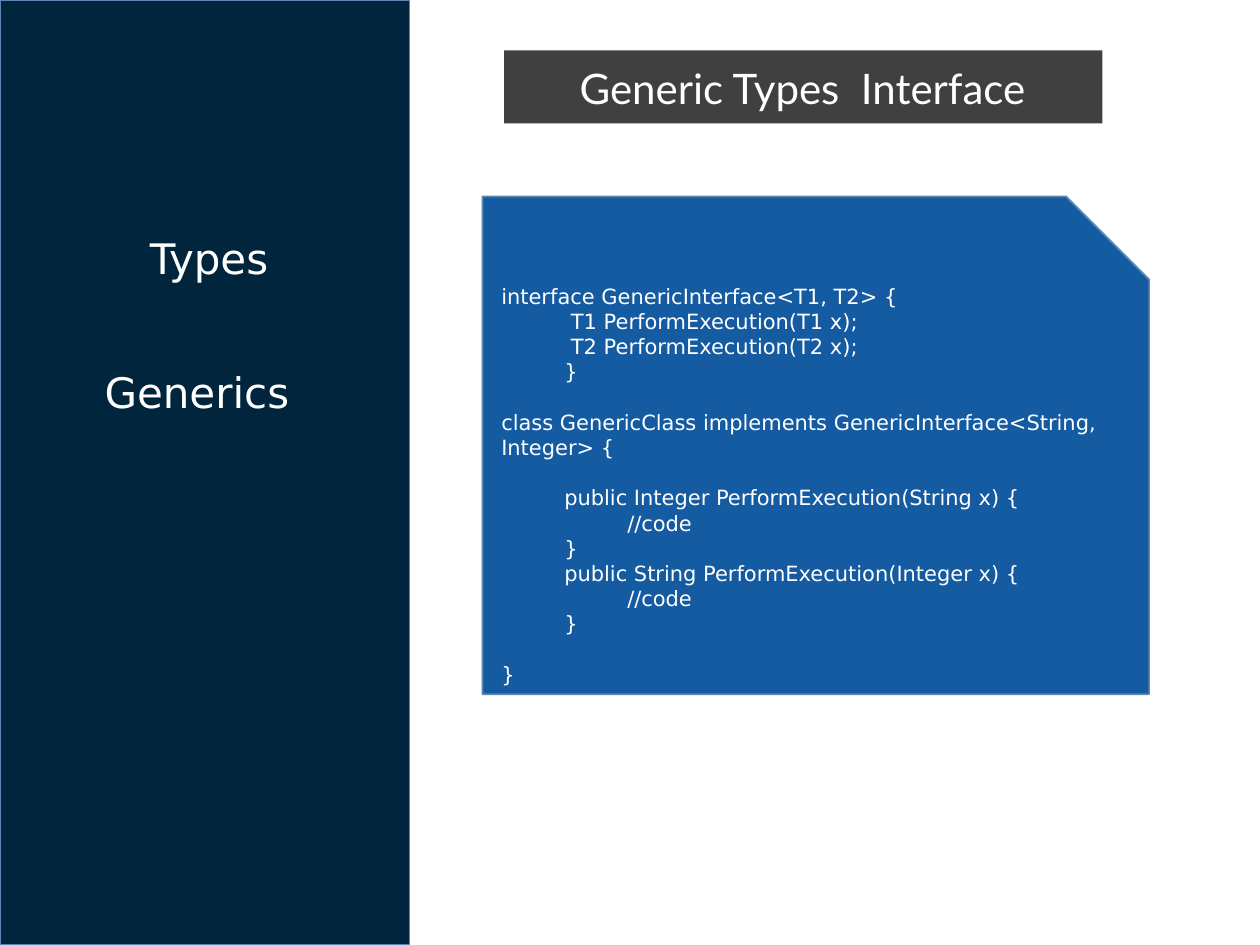
from pptx import Presentation
from pptx.dml.color import RGBColor
from pptx.enum.shapes import MSO_SHAPE
from pptx.enum.text import MSO_ANCHOR
from pptx.util import Inches, Pt

RECTANGLE = MSO_SHAPE.RECTANGLE
SNIPPED = MSO_SHAPE.SNIP_1_RECTANGLE
MIDDLE = MSO_ANCHOR.MIDDLE
TOP = MSO_ANCHOR.TOP

NAVY, BLUE, GREY = "00253C", "145BA2", "404040"
OUTLINE, WHITE = "5C87B1", "FFFFFF"
SANS, HEADING = "DejaVu Sans", "Lato"
BLANK_LINE = 14.4

CODE = """interface GenericInterface<T1, T2> {
\t T1 PerformExecution(T1 x);
\t T2 PerformExecution(T2 x);
\t}

class GenericClass implements GenericInterface<String, Integer> {

\tpublic Integer PerformExecution(String x) {
\t\t//code
\t}
\tpublic String PerformExecution(Integer x) {
\t\t//code
\t}

}"""


def color(value):
    return RGBColor.from_string(value)


def write(paragraph, text, font=SANS, size=24, fill=WHITE, indent=0, before=0):
    if indent:
        paragraph.level = 1
        properties = paragraph._p.get_or_add_pPr()
        properties.set("marL", str(Inches(indent)))
        properties.set("indent", "0")
    paragraph.space_before = Pt(before)
    run = paragraph.add_run()
    run.text = text
    run.font.name = font
    run.font.size = Pt(size)
    run.font.color.rgb = color(fill)


class SlideBuilder:
    def __init__(self, slide):
        self.slide = slide

    def panel(self, kind, left, top, width, height, fill, line=None):
        shape = self.slide.shapes.add_shape(
            kind, Inches(left), Inches(top), Inches(width), Inches(height))
        shape.shadow.inherit = False
        shape.fill.solid()
        shape.fill.fore_color.rgb = color(fill)
        if line:
            shape.line.color.rgb = color(line)
            shape.line.width = Pt(1)
        else:
            shape.line.fill.background()

    def text_frame(self, left, top, width, height, anchor):
        box = self.slide.shapes.add_textbox(
            Inches(left), Inches(top), Inches(width), Inches(height))
        frame = box.text_frame
        frame.word_wrap = True
        frame.vertical_anchor = anchor
        return frame

    def heading(self, text, left, top, width, font=SANS):
        frame = self.text_frame(left, top, width, 0.42, MIDDLE)
        frame.margin_left = Inches(0.6)
        frame.margin_top = Inches(0.01)
        frame.margin_right = frame.margin_bottom = 0
        write(frame.paragraphs[0], text, font=font)

    def code(self, source, left, top, width, height):
        frame = self.text_frame(left, top, width, height, TOP)
        paragraph = frame.paragraphs[0]
        before = 0
        for number, line in enumerate(source.split("\n")):
            if not line:
                before = BLANK_LINE
                continue
            if number:
                paragraph = frame.add_paragraph()
            indented = line.startswith("\t")
            write(paragraph, line[1:] if indented else line, size=12,
                  indent=0.5 if indented else 0, before=before)
            before = 0


def main():
    presentation = Presentation()
    presentation.slide_width = Inches(10)
    presentation.slide_height = Inches(7.5)
    builder = SlideBuilder(
        presentation.slides.add_slide(presentation.slide_layouts[6]))

    builder.panel(RECTANGLE, 0, 0, 3.25, 7.5, NAVY, OUTLINE)
    builder.heading("Types", 0.59, 1.83, 2.07)
    builder.heading("Generics", 0.23, 2.89, 2.79)

    builder.panel(RECTANGLE, 4, 0.4, 4.75, 0.58, GREY)
    builder.heading("Generic Types  Interface", 4, 0.48, 4.75, font=HEADING)

    builder.panel(SNIPPED, 3.83, 1.56, 5.29, 3.95, BLUE, OUTLINE)
    builder.code(CODE, 3.88, 2.2, 5.09, 3.33)

    presentation.save("out.pptx")


if __name__ == "__main__":
    main()
